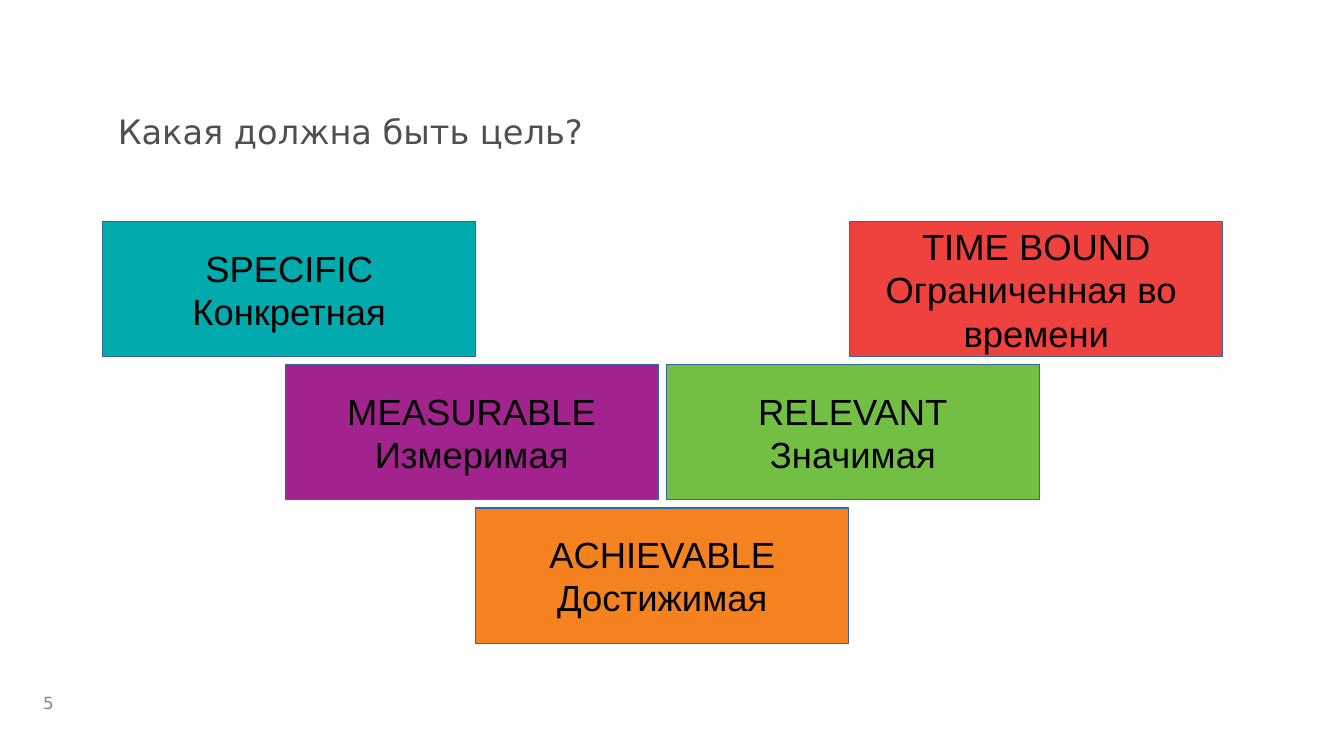
"""Build the slide on what a SMART goal should be."""
from dataclasses import dataclass

import pptx
import pptx.dml.color
import pptx.enum.shapes
import pptx.enum.text
import pptx.util
from pptx.dml.color import RGBColor
from pptx.enum.text import MSO_ANCHOR, PP_ALIGN
from pptx.util import Inches, Pt

TEAL = RGBColor(0x00, 0xAA, 0xAD)
PURPLE = RGBColor(0xA3, 0x23, 0x8E)
GREEN = RGBColor(0x72, 0xBF, 0x44)
RED = RGBColor(0xEF, 0x41, 0x3D)
ORANGE = RGBColor(0xF5, 0x82, 0x20)
OUTLINE = RGBColor(0x34, 0x65, 0xA4)
BLACK = RGBColor(0x00, 0x00, 0x00)
TITLE_GRAY = RGBColor(0x51, 0x4E, 0x4D)
NUMBER_GRAY = RGBColor(0x88, 0x88, 0x88)

HEADING_FONT = "DejaVu Sans"
CARD_FONT = "Arial"
CARD_WIDTH, CARD_HEIGHT = 3.7, 1.34
FIRST_ROW_TOP, ROW_STEP = 2.2, 1.42


@dataclass(frozen=True)
class Criterion:
    """One SMART card: its left edge, row, fill and lines of text."""

    left: float
    row: int
    fill: RGBColor
    lines: tuple[str, ...]


@dataclass(frozen=True)
class Label:
    """A single line of text with its frame and style."""

    text: str
    frame: tuple[float, float, float, float]
    size: float
    color: RGBColor
    align: PP_ALIGN
    anchor: MSO_ANCHOR
    line_spacing: float


CRITERIA = (
    Criterion(1.02, 0, TEAL, ("SPECIFIC", "Конкретная")),
    Criterion(2.83, 1, PURPLE, ("MEASURABLE", "Измеримая")),
    Criterion(6.61, 1, GREEN, ("RELEVANT", "Значимая")),
    Criterion(8.43, 0, RED, ("TIME BOUND", "Ограниченная во ", "времени")),
    Criterion(4.72, 2, ORANGE, ("ACHIEVABLE", "Достижимая")),
)
LABELS = (
    Label("5", (0, 6.85, 0.96, 0.24), 12, NUMBER_GRAY,
          PP_ALIGN.CENTER, MSO_ANCHOR.MIDDLE, 1.0),
    Label("Какая должна быть цель?", (1.07, 1.1, 10.35, 0.49), 24, TITLE_GRAY,
          PP_ALIGN.LEFT, MSO_ANCHOR.TOP, 0.9),
)


def style_paragraph(para: pptx.text.text._Paragraph, font: str, size: float,
                    color: RGBColor, align: PP_ALIGN) -> None:
    """Set the font and alignment of a paragraph."""
    para.alignment = align
    para.font.name = font
    para.font.size = Pt(size)
    para.font.color.rgb = color


def add_label(page: pptx.slide.Slide, label: Label) -> None:
    """Add a text box holding one line."""
    box = page.shapes.add_textbox(*map(Inches, label.frame))
    box.text_frame.word_wrap = True
    box.text_frame.vertical_anchor = label.anchor
    box.text_frame.text = label.text
    para = box.text_frame.paragraphs[0]
    para.line_spacing = label.line_spacing
    style_paragraph(para, HEADING_FONT, label.size, label.color, label.align)


def add_card(page: pptx.slide.Slide, criterion: Criterion) -> None:
    """Add the coloured rectangle of one criterion."""
    top = FIRST_ROW_TOP + criterion.row * ROW_STEP
    card = page.shapes.add_shape(
        pptx.enum.shapes.MSO_SHAPE.RECTANGLE, Inches(criterion.left),
        Inches(top), Inches(CARD_WIDTH), Inches(CARD_HEIGHT))
    card.shadow.inherit = False
    card.fill.solid()
    card.fill.fore_color.rgb = criterion.fill
    card.line.color.rgb = OUTLINE
    card.line.width = Pt(0.75)
    card.text_frame.word_wrap = False
    card.text_frame.vertical_anchor = MSO_ANCHOR.MIDDLE
    card.text_frame.text = "\n".join(criterion.lines)
    for para in card.text_frame.paragraphs:
        style_paragraph(para, CARD_FONT, 26, BLACK, PP_ALIGN.CENTER)


def main() -> None:
    """Create the deck and save it."""
    deck = pptx.Presentation()
    deck.slide_width, deck.slide_height = Inches(13.33), Inches(7.5)
    page = deck.slides.add_slide(deck.slide_layouts[6])
    for label in LABELS:
        add_label(page, label)
    for criterion in CRITERIA:
        add_card(page, criterion)
    deck.save("out.pptx")


if __name__ == "__main__":
    main()
